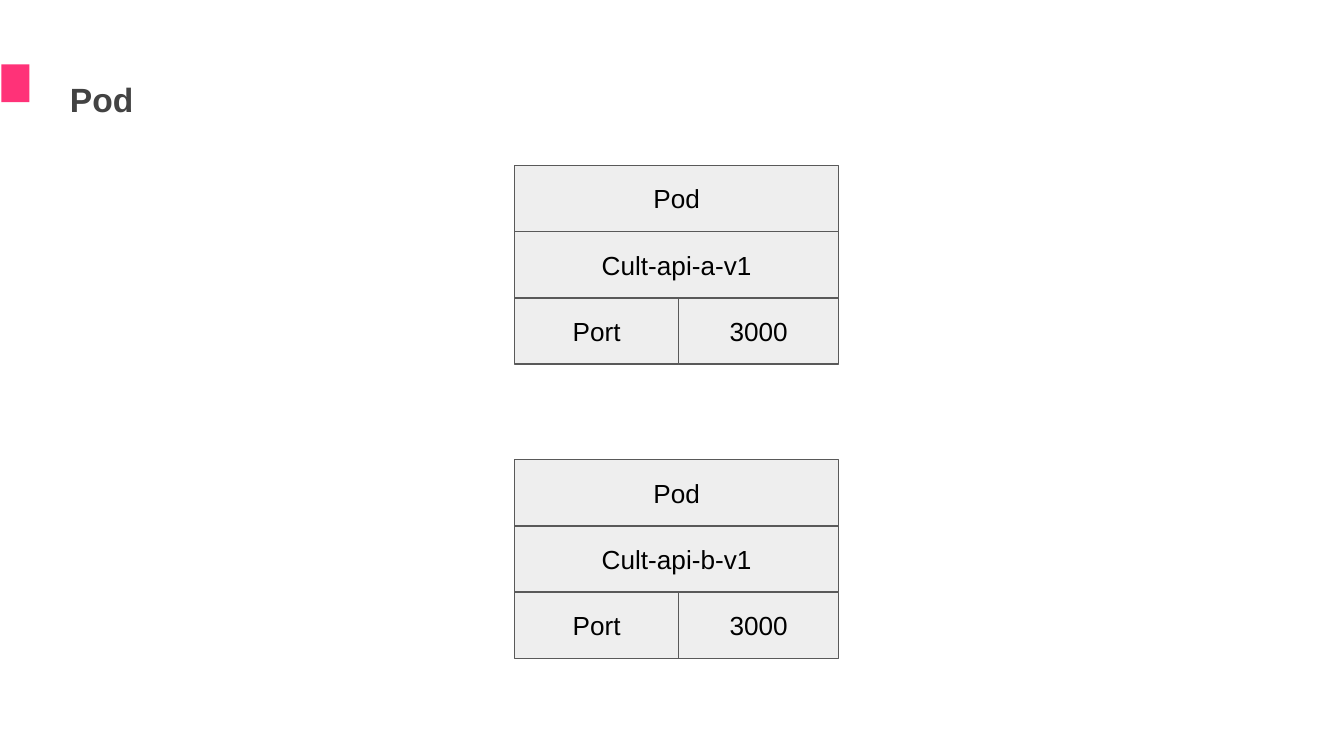
from dataclasses import dataclass

from pptx import Presentation
from pptx.dml.color import RGBColor
from pptx.enum.shapes import MSO_SHAPE
from pptx.enum.text import MSO_ANCHOR, MSO_AUTO_SIZE, PP_ALIGN
from pptx.util import Inches, Pt

RECTANGLE = MSO_SHAPE.RECTANGLE
TOP, MIDDLE = MSO_ANCHOR.TOP, MSO_ANCHOR.MIDDLE
LEFT, CENTER = PP_ALIGN.LEFT, PP_ALIGN.CENTER
NO_AUTOFIT = MSO_AUTO_SIZE.NONE
TITLE_ONLY = 5
SLIDE_WIDTH = 10
SLIDE_HEIGHT = SLIDE_WIDTH * 9 / 16


@dataclass(frozen=True)
class Theme:
    font: str = "Arial"
    title_size: float = 18
    cell_size: float = 14
    line_width: float = 0.75
    inset: float = 0.1
    accent: str = "FF3278"
    title: str = "434343"
    text: str = "000000"
    cell: str = "EEEEEE"
    border: str = "595959"


THEME = Theme()


def color(value):
    return RGBColor.from_string(value)


def set_attributes(target, values):
    for name, value in values.items():
        setattr(target, name, value)


def write_text(shape, text, size, text_color, anchor, alignment, bold=False, spacing=1.0):
    frame = shape.text_frame
    frame.text = text
    margins = {f"margin_{side}": Inches(THEME.inset) for side in ("left", "top", "right", "bottom")}
    set_attributes(frame, {
        "word_wrap": True, "auto_size": NO_AUTOFIT, "vertical_anchor": anchor, **margins,
    })
    paragraph = frame.paragraphs[0]
    set_attributes(paragraph, {"alignment": alignment, "line_spacing": spacing})
    font = paragraph.runs[0].font
    set_attributes(font, {"name": THEME.font, "size": Pt(size), "bold": bold})
    font.color.rgb = color(text_color)


def add_rectangle(shapes, left, top, width, height, fill):
    shape = shapes.add_shape(RECTANGLE, Inches(left), Inches(top), Inches(width), Inches(height))
    shape.shadow.inherit = False
    shape.fill.solid()
    shape.fill.fore_color.rgb = color(fill)
    shape.line.fill.background()
    return shape


def add_header(slide, left, top, width, height, text):
    add_rectangle(slide.shapes, left - 0.41, top + 0.14, 0.21, 0.28, THEME.accent)
    title = slide.shapes.title
    set_attributes(title, {
        "left": Inches(left), "top": Inches(top), "width": Inches(width), "height": Inches(height),
    })
    write_text(title, text, THEME.title_size, THEME.title, TOP, LEFT, bold=True, spacing=1.5)


def add_pod(slide, left, top, width, height, name, port):
    group = slide.shapes.add_group_shape()
    port_label_width = 1.22
    rows = [
        [("Pod", width)],
        [(name, width)],
        [("Port", port_label_width), (port, width - port_label_width)],
    ]
    row_height = height / len(rows)
    for index, row in enumerate(rows):
        cell_left = left
        for text, cell_width in row:
            cell = add_rectangle(group.shapes, cell_left, top + index * row_height,
                                 cell_width, row_height, THEME.cell)
            cell.line.color.rgb = color(THEME.border)
            cell.line.width = Pt(THEME.line_width)
            write_text(cell, text, THEME.cell_size, THEME.text, MIDDLE, CENTER)
            cell_left += cell_width


def main():
    presentation = Presentation()
    presentation.slide_width = Inches(SLIDE_WIDTH)
    presentation.slide_height = Inches(SLIDE_HEIGHT)
    slide = presentation.slides.add_slide(presentation.slide_layouts[TITLE_ONLY])
    add_header(slide, 0.42, 0.34, 9.24, 0.58, "Pod")
    for top, name in ((1.23, "Cult-api-a-v1"), (3.42, "Cult-api-b-v1")):
        add_pod(slide, 3.83, top, 2.41, 1.48, name, "3000")
    presentation.save("out.pptx")


if __name__ == "__main__":
    main()
